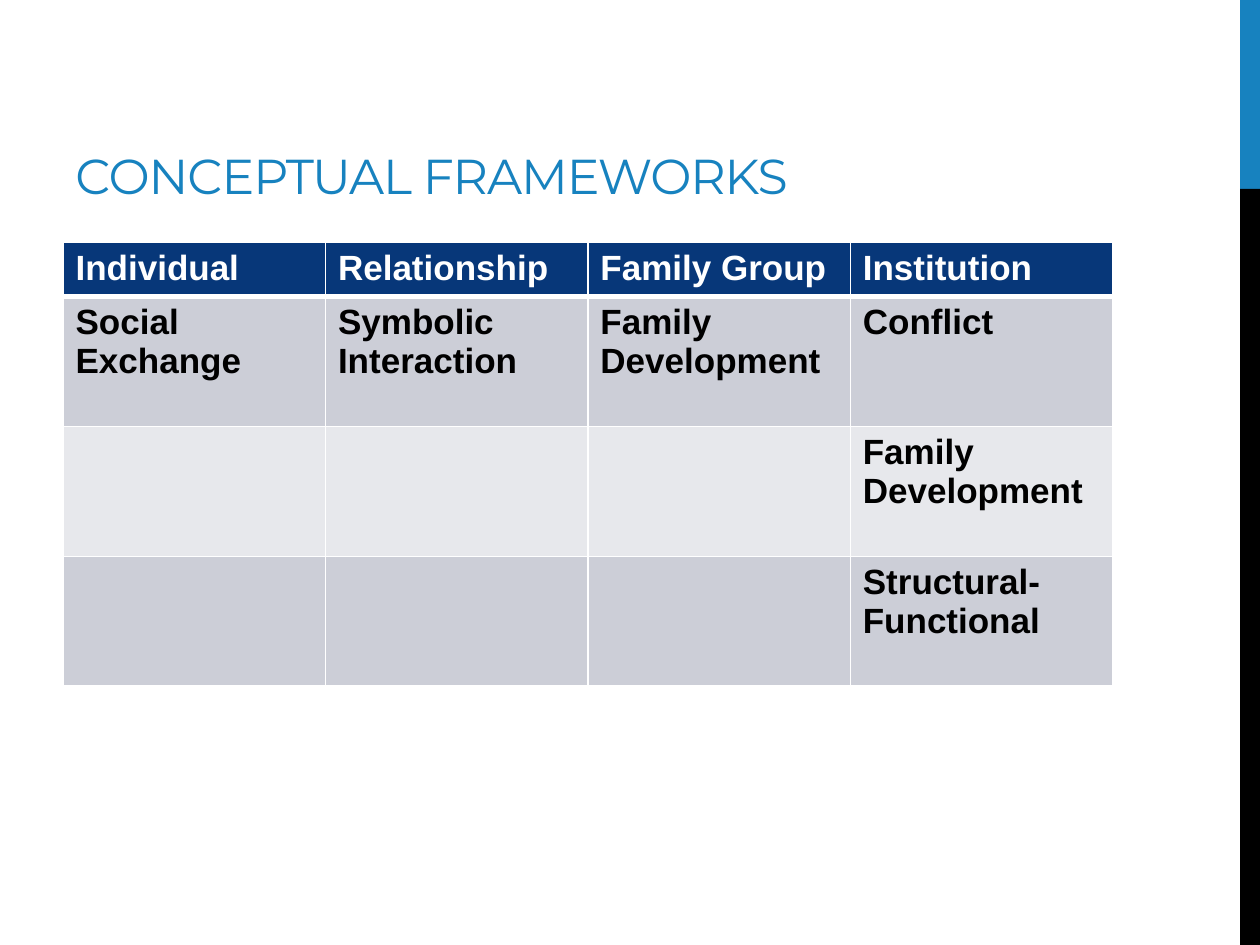
import pptx
import pptx.dml.color
import pptx.enum.shapes
import pptx.enum.text
import pptx.oxml
import pptx.oxml.ns
import pptx.util
from pptx.util import Cm

COLOURS = {
    "accent": "1782BF",
    "black": "000000",
    "white": "FFFFFF",
    "header": "073779",
    "odd": "CCCED7",
    "even": "E7E8EC",
}
FRAMEWORKS = [
    ["Individual", "Relationship", "Family Group", "Institution"],
    ["Social Exchange", "Symbolic Interaction", "Family Development", "Conflict"],
    ["", "", "", "Family Development"],
    ["", "", "", "Structural-Functional"],
]


def colour(name):
    return pptx.dml.color.RGBColor.from_string(COLOURS[name])


def style_font(font, face, size, name, bold=False):
    font.name = face
    font.size = pptx.util.Pt(size)
    font.bold = bold
    font.color.rgb = colour(name)


def add_side_band(page, left, top, width, height):
    accent_height = height * 0.2
    parts = [
        ("accent", top, accent_height),
        ("black", top + accent_height, height - accent_height),
    ]
    for name, part_top, part_height in parts:
        band = page.shapes.add_shape(
            pptx.enum.shapes.MSO_SHAPE.RECTANGLE,
            Cm(left), Cm(part_top), Cm(width), Cm(part_height),
        )
        band.shadow.inherit = False
        band.fill.solid()
        band.fill.fore_color.rgb = colour(name)
        band.line.fill.background()


def add_title(page, left, top, width, height):
    box = page.shapes.add_textbox(Cm(left), Cm(top), Cm(width), Cm(height))
    frame = box.text_frame
    frame.word_wrap = True
    frame.vertical_anchor = pptx.enum.text.MSO_ANCHOR.BOTTOM
    para = frame.paragraphs[0]
    span = para.add_run()
    span.text = "CONCEPTUAL FRAMEWORKS"
    style_font(para.font, "Montserrat", 28, "accent")
    span._r.get_or_add_rPr().set("spc", "-60")


def add_borders(cell, bottom_width):
    properties = cell._tc.get_or_add_tcPr()
    widths = {"lnL": 1, "lnR": 1, "lnT": 1, "lnB": bottom_width}
    for position, (tag, width) in enumerate(widths.items()):
        line = pptx.oxml.parse_xml(
            f'<a:{tag} {pptx.oxml.ns.nsdecls("a")} w="{pptx.util.Pt(width)}">'
            f'<a:solidFill><a:srgbClr val="{COLOURS["white"]}"/></a:solidFill>'
            f"</a:{tag}>"
        )
        properties.insert(position, line)


def add_frameworks_table(page, left, top, width, height):
    row_count, column_count = len(FRAMEWORKS), len(FRAMEWORKS[0])
    header_height = 1.05
    body_height = (height - header_height) / (row_count - 1)
    table = page.shapes.add_table(
        row_count, column_count, Cm(left), Cm(top), Cm(width), Cm(height)
    ).table
    for column in table.columns:
        column.width = Cm(width / column_count)
    for index, labels in enumerate(FRAMEWORKS):
        is_header = index == 0
        table.rows[index].height = Cm(header_height if is_header else body_height)
        fill = "header" if is_header else "odd" if index % 2 else "even"
        for cell, label in zip(table.rows[index].cells, labels):
            cell.fill.solid()
            cell.fill.fore_color.rgb = colour(fill)
            add_borders(cell, 3 if is_header else 1)
            cell.text = label
            style_font(
                cell.text_frame.paragraphs[0].font,
                "Arial", 20, "white" if is_header else "black", True,
            )


def main():
    deck = pptx.Presentation()
    deck.slide_width = Cm(25.4)
    deck.slide_height = Cm(19.05)
    page = deck.slides.add_slide(deck.slide_layouts[6])
    add_side_band(page, 25, 0, 0.4, 19.05)
    add_title(page, 1.27, 0.43, 23.5, 3.81)
    add_frameworks_table(page, 1.27, 4.88, 21.16, 8.9)
    deck.save("out.pptx")


if __name__ == "__main__":
    main()
